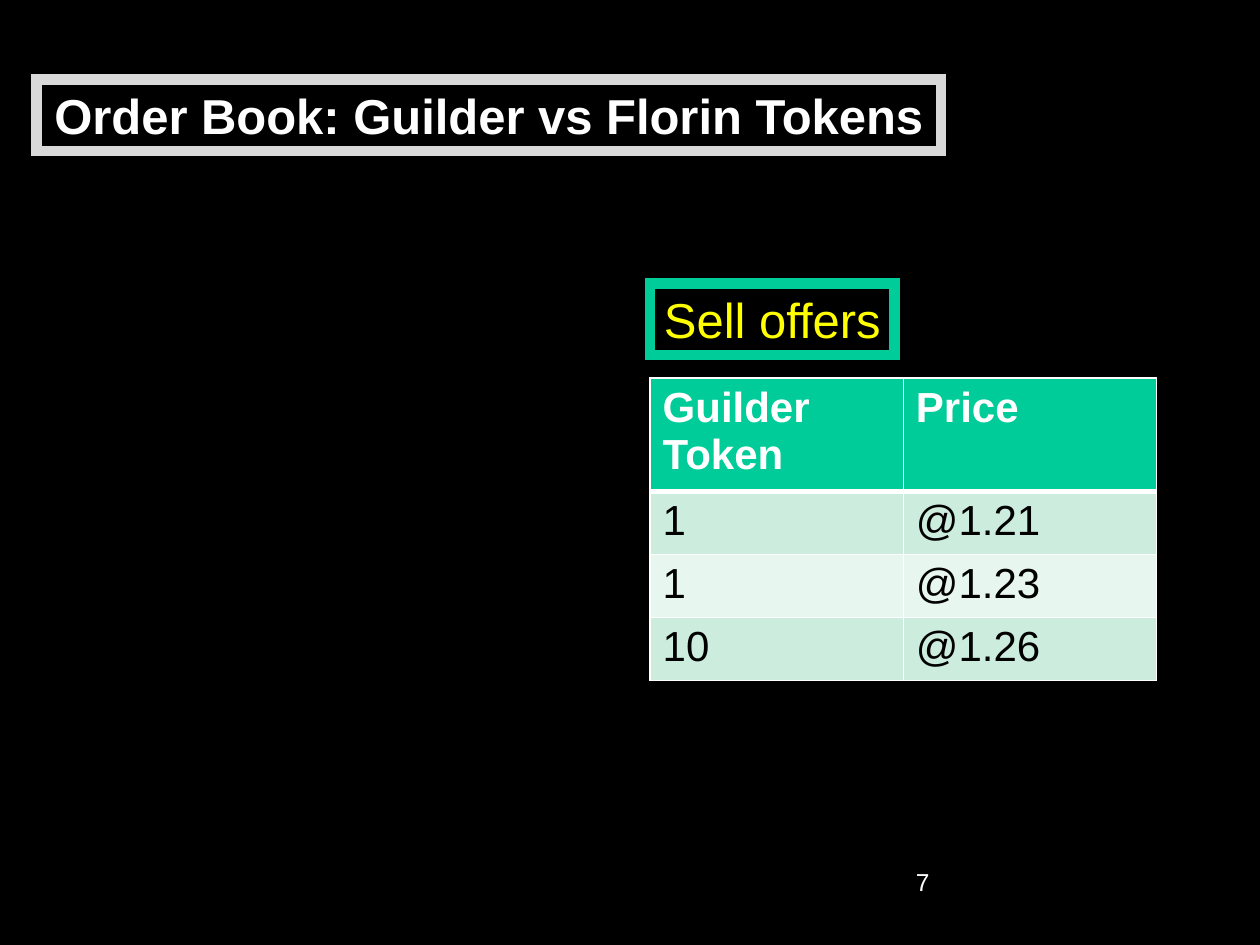
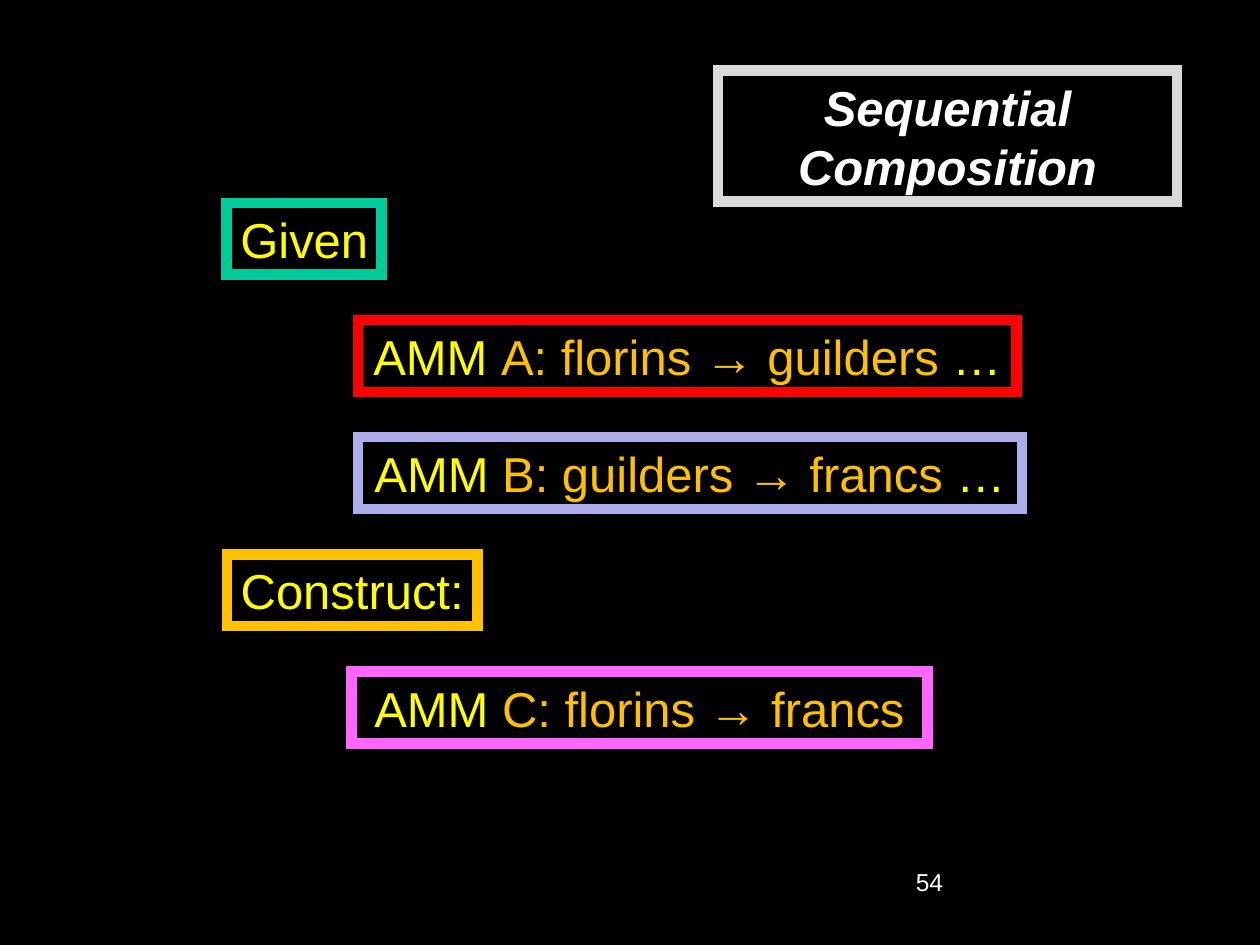
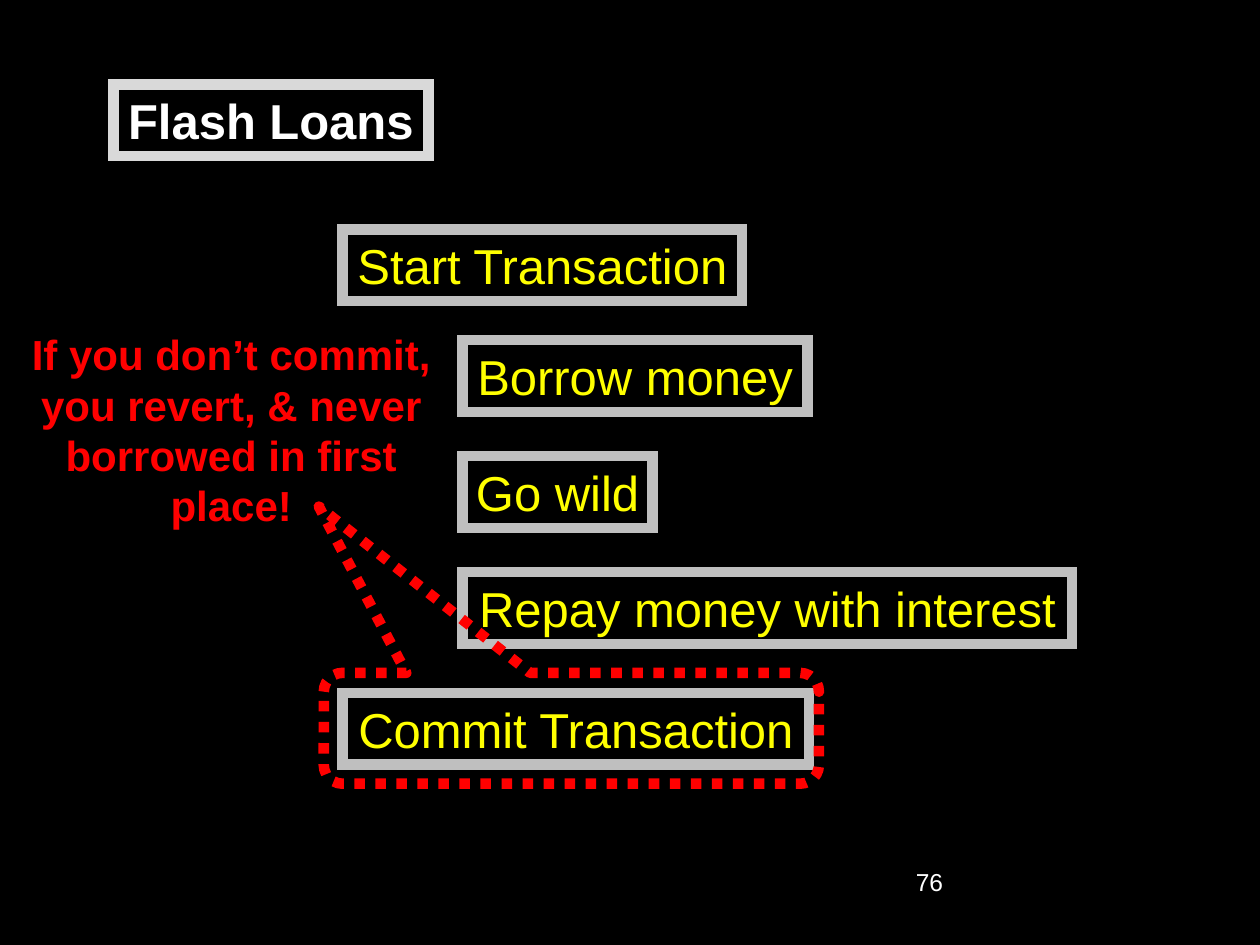
import pptx
import pptx.util
import pptx.dml.color
import pptx.enum.dml
import pptx.enum.shapes
import pptx.enum.text
import pptx.oxml
import pptx.oxml.ns

UNIT = 9144
FONT = "Arial"
HIGH = 57
INK = {
    "black": "000000", "white": "FFFFFF", "pale": "D9D9D9", "gray": "BFBFBF",
    "green": "00CC99", "mint": "CCECDE", "mist": "E7F6EF", "yellow": "FFFF00",
    "gold": "FFC000", "red": "FF0000", "lilac": "ADADEB", "pink": "FF66FF",
}

OFFERS = [
    ("Guilder Token", "Price"),
    ("1", "@1.21"),
    ("1", "@1.23"),
    ("10", "@1.26"),
]
BANDS = ["green", "mint", "mist", "mint"]
ROWS = [90, 50, 50, 50]
SELL = [((516, 225, 194), "green", [("Sell offers", "yellow")])]

GOALS = [
    (180, 123, "green", [("Given", "yellow")]),
    (284, 523, "red", [("AMM ", "yellow"), ("A: florins → guilders ", "gold"), ("…", "yellow")]),
    (284, 527, "lilac", [("AMM ", "yellow"), ("B: guilders → francs ", "gold"), ("…", "yellow")]),
    (180, 199, "gold", [("Construct:", "yellow")]),
    (279, 457, "pink", [("AMM ", "yellow"), ("C: florins → francs", "gold")]),
]
CHAIN = [
    ((left, 161 + 93 * row, wide), edge, parts)
    for row, (left, wide, edge, parts) in enumerate(GOALS)
]

STEPS = [
    (272, 182, 317, "Start Transaction"),
    (367, 270, 274, "Borrow money"),
    (367, 362, 151, "Go wild"),
    (367, 454, 484, "Repay money with interest"),
    (272, 550, 370, "Commit Transaction"),
]
LOAN = [((left, top, wide), "gray", [(text, "yellow")]) for left, top, wide, text in STEPS]
WARN = "If you don’t commit, you revert, & never borrowed in first place!"


def px(*nums):
    return [pptx.util.Emu(num * UNIT) for num in nums]


def tint(name):
    return pptx.dml.color.RGBColor.from_string(INK[name])


def style(para, size, color=None, bold=False, slant=False):
    font = para.font
    font.name, font.size = FONT, pptx.util.Pt(size)
    font.bold, font.italic = bold, slant
    if color:
        font.color.rgb = tint(color)


def center(para):
    para.alignment = pptx.enum.text.PP_ALIGN.CENTER


def outline(shape, color):
    shape.line.color.rgb = tint(color)
    shape.line.width = pptx.util.Pt(6)


def frame(shape, edge, wrap=False):
    shape.fill.solid()
    shape.fill.fore_color.rgb = tint("black")
    outline(shape, edge)
    miter = pptx.oxml.parse_xml(f'<a:miter {pptx.oxml.ns.nsdecls("a")} lim="800000"/>')
    shape.line._get_or_add_ln().append(miter)
    body = shape.text_frame
    body.word_wrap = wrap
    body.auto_size = pptx.enum.text.MSO_AUTO_SIZE.NONE
    body.vertical_anchor = pptx.enum.text.MSO_ANCHOR.MIDDLE
    center(body.paragraphs[0])
    return body.paragraphs[0]


def boxes(slide, items):
    for (left, top, wide), edge, parts in items:
        shape = slide.shapes.add_shape(
            pptx.enum.shapes.MSO_SHAPE.RECTANGLE, *px(left, top, wide, HIGH))
        shape.shadow.inherit = False
        para = frame(shape, edge)
        style(para, 28)
        for text, color in parts:
            run = para.add_run()
            run.text = text
            run.font.color.rgb = tint(color)


def label(slide, area, text, size, color, bold=False):
    box = slide.shapes.add_textbox(*px(*area))
    box.text_frame.word_wrap = True
    para = box.text_frame.paragraphs[0]
    para.text = text
    style(para, size, color, bold)
    return para


def page(deck, text, area, number, two=False):
    slide = deck.slides.add_slide(deck.slide_layouts.get_by_name("Title Only"))
    title = slide.shapes.title
    title.left, title.top, title.width, title.height = px(*area)
    title.text_frame.text = text
    style(frame(title, "pale", two), 28, "white", True, two)
    label(slide, (717, 683, 208, 50), number, 14, "white")
    return slide


def border(cell, sides):
    props = cell._tc.get_or_add_tcPr()
    for spot, (side, width) in enumerate(sides.items()):
        props.insert(spot, pptx.oxml.parse_xml(
            f'<a:ln{side} {pptx.oxml.ns.nsdecls("a")} w="{width * 12700}">'
            f'<a:solidFill><a:srgbClr val="{INK["white"]}"/></a:solidFill></a:ln{side}>'))


def offers(slide):
    area = px(516, 300, 402, sum(ROWS))
    grid = slide.shapes.add_table(len(OFFERS), len(OFFERS[0]), *area).table
    for row, texts in enumerate(OFFERS):
        grid.rows[row].height = px(ROWS[row])[0]
        head = row == 0
        for col, text in enumerate(texts):
            cell = grid.cell(row, col)
            cell.text = text
            cell.fill.solid()
            cell.fill.fore_color.rgb = tint(BANDS[row])
            style(cell.text_frame.paragraphs[0], 24, "white" if head else "black", head)
            border(cell, {"L": 1, "R": 1, "T": 3 if row == 1 else 1, "B": 3 if head else 1})


def callout(slide):
    shape = slide.shapes.add_shape(
        pptx.enum.shapes.MSO_SHAPE.ROUNDED_RECTANGULAR_CALLOUT, *px(257, 534, 393, 88))
    shape.shadow.inherit = False
    shape.fill.background()
    outline(shape, "red")
    shape.line.dash_style = pptx.enum.dml.MSO_LINE.ROUND_DOT
    for spot, value in enumerate((-0.51, -2, 0.17)):
        shape.adjustments[spot] = value


def main():
    deck = pptx.Presentation()
    deck.slide_width, deck.slide_height = px(1000, 750)
    back = deck.slide_master.background.fill
    back.solid()
    back.fore_color.rgb = tint("black")

    book = page(deck, "Order Book: Guilder vs Florin Tokens", (29, 63, 718, HIGH), "7")
    offers(book)
    boxes(book, SELL)

    chain = page(deck, "Sequential Composition", (570, 56, 364, 104), "54", True)
    boxes(chain, CHAIN)

    loan = page(deck, "Flash Loans", (90, 67, 250, HIGH), "76")
    boxes(loan, LOAN)
    callout(loan)
    center(label(loan, (9, 256, 349, 172), WARN, 24, "red", True))

    deck.save("out.pptx")


if __name__ == "__main__":
    main()
